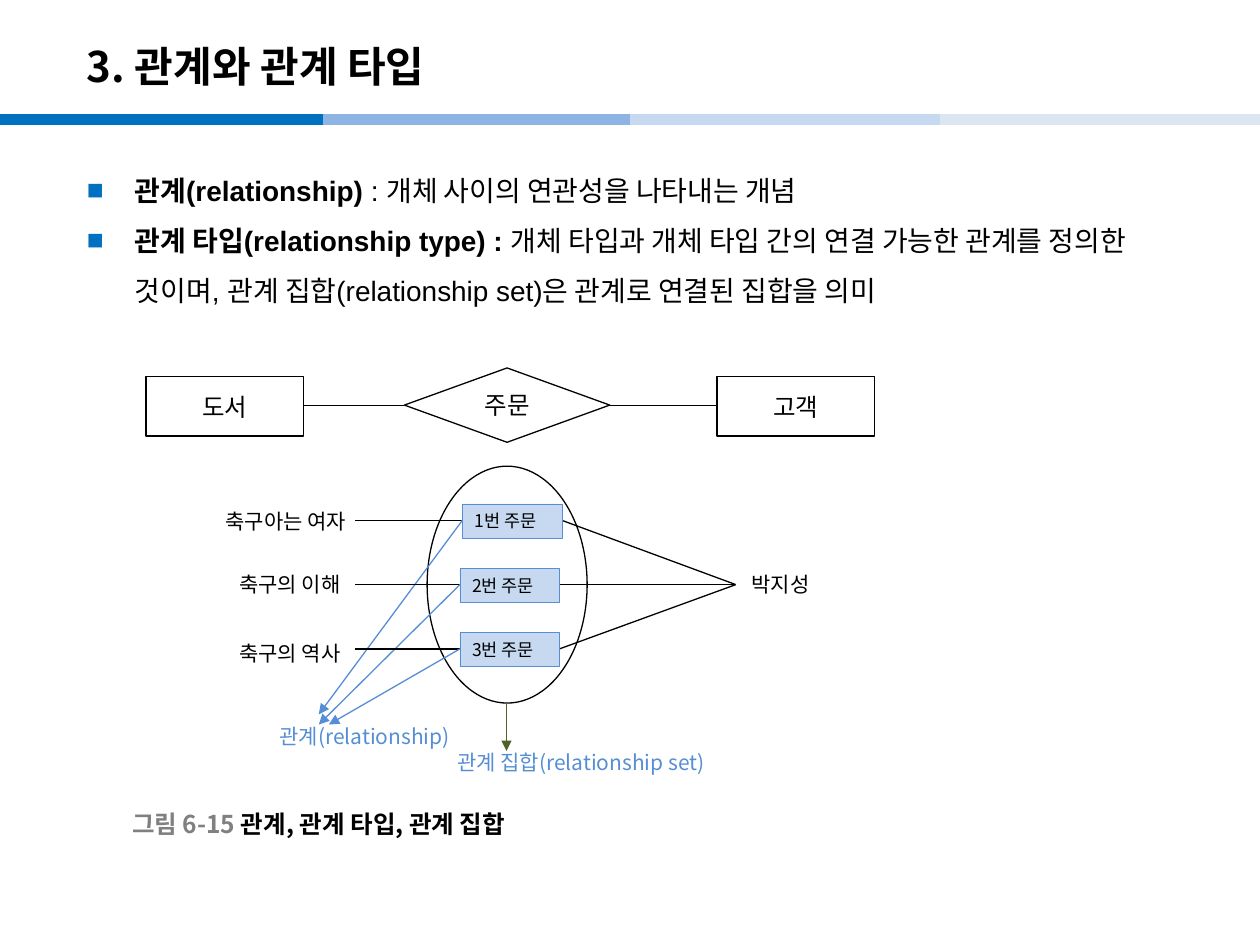
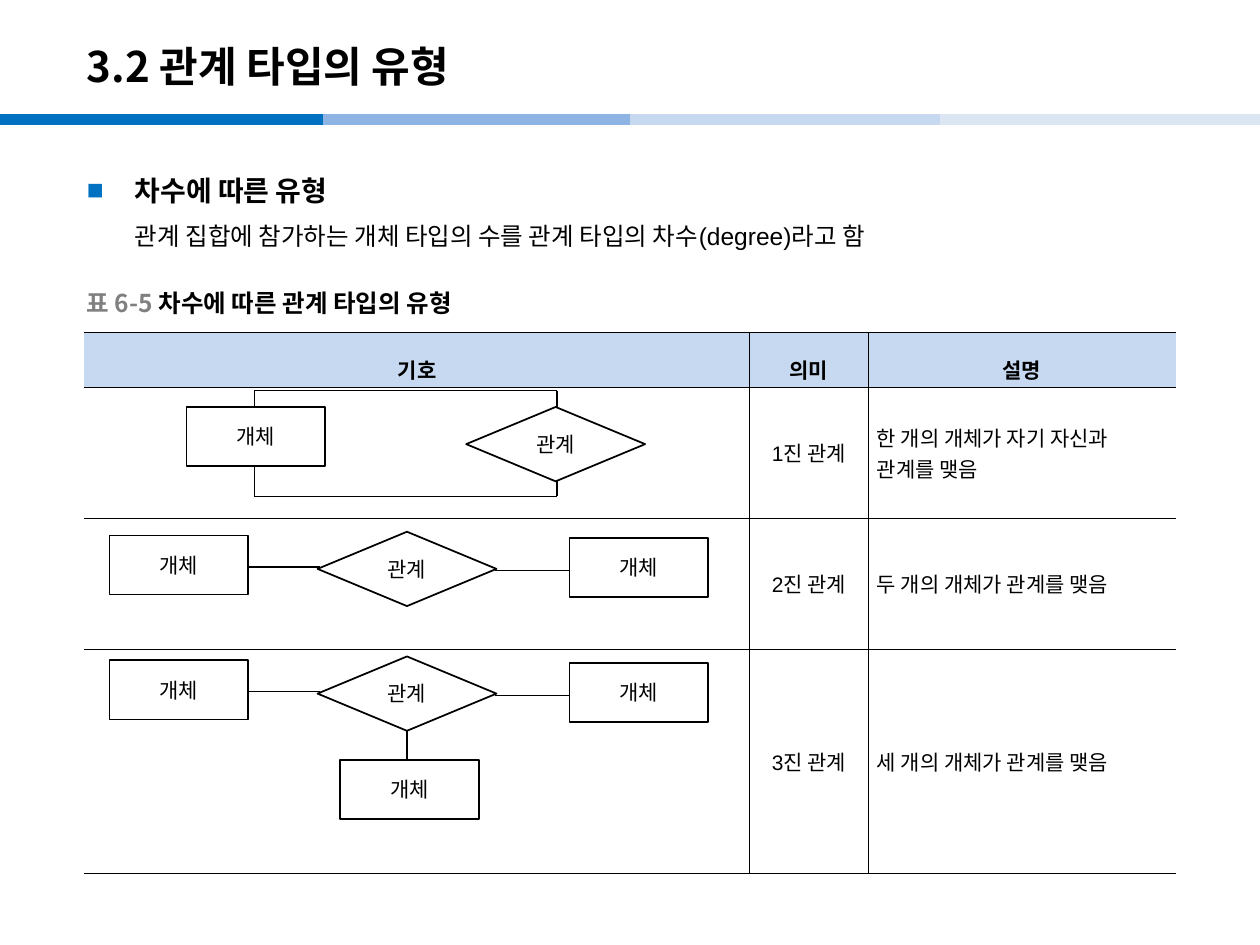
from lxml.etree import SubElement
from pptx import Presentation
from pptx.dml.color import RGBColor
from pptx.enum.shapes import MSO_CONNECTOR, MSO_SHAPE
from pptx.enum.text import MSO_ANCHOR, MSO_AUTO_SIZE, PP_ALIGN
from pptx.oxml.ns import qn
from pptx.util import Inches, Pt

BLACK = RGBColor(0x00, 0x00, 0x00)
WHITE = RGBColor(0xFF, 0xFF, 0xFF)
GRAY = RGBColor(0x80, 0x80, 0x80)
GREEN = RGBColor(0x4F, 0x62, 0x28)
BLUE = RGBColor(0x00, 0x70, 0xC0)
LINK_BLUE = RGBColor(0x55, 0x8E, 0xD5)
PALE_BLUE = RGBColor(0xC6, 0xD9, 0xF1)
BAND_COLORS = (BLUE, RGBColor(0x8E, 0xB4, 0xE3), PALE_BLUE, RGBColor(0xDC, 0xE6, 0xF2))
BAND_STARTS = (0, 2.56, 5, 7.46)

LATIN = "Arial"
KOREAN = "Noto Sans CJK KR"

ENTITY = (1.1, 0.47)
RELATION = (1.42, 0.59)


# Shared helpers
def apply(target, values):
    for name, value in values.items():
        setattr(target, name, value)


def add_run(paragraph, text, size, color=BLACK, bold=False, font=KOREAN):
    run = paragraph.add_run()
    run.text = text
    apply(run.font, {"size": Pt(size), "bold": bold, "name": font})
    run.font.color.rgb = color
    SubElement(run.font._element, qn("a:ea"), typeface=KOREAN)


def set_frame(shape, left, top, width, height):
    apply(shape, {"left": Inches(left), "top": Inches(top),
                  "width": Inches(width), "height": Inches(height)})


def node(slide, box, kind, left, top, width, height, text="", size=12, color=BLACK,
         fill=WHITE, line=BLACK, weight=0.75, align=PP_ALIGN.CENTER):
    """Add an outlined or plain shape, placed relative to its box."""
    shape = slide.shapes.add_shape(kind, Inches(box[0] + left), Inches(box[1] + top),
                                   Inches(width), Inches(height))
    shape.shadow.inherit = False
    if fill is None:
        shape.fill.background()
    else:
        shape.fill.solid()
        shape.fill.fore_color.rgb = fill
    if line is None:
        shape.line.fill.background()
    else:
        shape.line.color.rgb = line
        shape.line.width = Pt(weight)
    if text:
        apply(shape.text_frame, {"word_wrap": False, "vertical_anchor": MSO_ANCHOR.MIDDLE})
        paragraph = shape.text_frame.paragraphs[0]
        paragraph.alignment = align
        add_run(paragraph, text, size, color)


def link(slide, box, start, end, color=BLACK, weight=0.75, arrow=False):
    """Add a straight line, placed relative to its box."""
    points = [Inches(origin + offset) for point in (start, end)
              for origin, offset in zip(box, point)]
    connector = slide.shapes.add_connector(MSO_CONNECTOR.STRAIGHT, *points)
    connector.line.color.rgb = color
    connector.line.width = Pt(weight)
    if arrow:
        SubElement(connector.line._get_or_add_ln(), qn("a:tailEnd"), type="triangle")
    SubElement(connector._element.spPr, qn("a:effectLst"))


def add_base_slide(prs, title_text):
    """Add a slide with the colour band and the title."""
    slide = prs.slides.add_slide(prs.slide_layouts[1])
    for start, color in zip(BAND_STARTS, BAND_COLORS):
        link(slide, (start, 0.95), (0, 0), (2.56, 0), color, 6)
    title = slide.shapes.title
    set_frame(title, 0.59, 0.22, 8.27, 0.6)
    apply(title.text_frame, {"vertical_anchor": MSO_ANCHOR.MIDDLE,
                             "auto_size": MSO_AUTO_SIZE.NONE})
    paragraph = title.text_frame.paragraphs[0]
    paragraph.alignment = PP_ALIGN.LEFT
    add_run(paragraph, title_text, 24, bold=True)
    return slide


def fill_body(slide, items):
    """Each item is (has bullet, size, [(text, bold), ...])."""
    body = slide.placeholders[1]
    set_frame(body, 0.59, 1.19, 8.82, 5.98)
    frame = body.text_frame
    frame.auto_size = MSO_AUTO_SIZE.NONE
    for index, (bulleted, size, runs) in enumerate(items):
        paragraph = frame.add_paragraph() if index else frame.paragraphs[0]
        properties = paragraph._p.get_or_add_pPr()
        properties.set("marL", str(Inches(0.38)))
        properties.set("indent", str(-Inches(0.38) if bulleted else 0))
        if bulleted:
            bullet_color = SubElement(properties, qn("a:buClr"))
            SubElement(bullet_color, qn("a:srgbClr"), val=str(BLUE))
            SubElement(properties, qn("a:buFont"), typeface=LATIN)
            SubElement(properties, qn("a:buChar"), char="■")
        else:
            SubElement(properties, qn("a:buNone"))
        apply(paragraph, {"line_spacing": 1.5, "space_before": Pt(0),
                          "alignment": PP_ALIGN.LEFT})
        for text, bold in runs:
            add_run(paragraph, text, size, bold=bold, font=LATIN)


def add_caption(slide, left, top, number, text):
    caption = slide.shapes.add_textbox(Inches(left), Inches(top), Inches(5), Inches(0.31))
    apply(caption.text_frame, {"word_wrap": True, "vertical_anchor": MSO_ANCHOR.MIDDLE})
    paragraph = caption.text_frame.paragraphs[0]
    add_run(paragraph, number, 14, GRAY, True)
    add_run(paragraph, text, 14, bold=True)


# Slide 1: relationship, relationship type and relationship set
def add_type_diagram(slide, box):
    for left, name in ((0, "도서"), (4.53, "고객")):
        node(slide, box, MSO_SHAPE.RECTANGLE, left, 0.07, 1.25, 0.47, name, 14)
    node(slide, box, MSO_SHAPE.DIAMOND, 2.05, 0, 1.63, 0.59, "주문", 14)
    for start, end in ((1.25, 2.05), (3.68, 4.53)):
        link(slide, box, (start, 0.3), (end, 0.3))


def add_set_diagram(slide, box):
    customer = (4.24, 0.94)
    # book name, its left and top, order left, arrow tip
    orders = (
        ("축구아는 여자", 0, 0.29, 2.07, (0.93, 1.97)),
        ("축구의 이해", 0.06, 0.79, 2.05, (0.93, 2.05)),
        ("축구의 역사", 0.06, 1.33, 2.05, (1.01, 2.05)),
    )
    for book, left, top, _, _ in orders:
        node(slide, box, MSO_SHAPE.RECTANGLE, left, top, 1.34 - left, 0.3, book, line=None)
    node(slide, box, MSO_SHAPE.OVAL, 1.79, 0, 1.27, 1.88)
    for index, (_, _, _, left, tip) in enumerate(orders):
        middle = 0.43 + 0.51 * index
        link(slide, box, (1.22, middle), (left, middle))
        link(slide, box, (left + 0.79, middle), customer)
        node(slide, box, MSO_SHAPE.RECTANGLE, left, middle - 0.13, 0.79, 0.27,
             f"{index + 1}번 주문", 10, fill=PALE_BLUE, line=LINK_BLUE, weight=0.25,
             align=PP_ALIGN.LEFT)
        link(slide, box, (left, middle), tip, LINK_BLUE, arrow=True)
    node(slide, box, MSO_SHAPE.RECTANGLE, 4.24, 0.79, 0.71, 0.3, "박지성", line=None)
    link(slide, box, (2.42, 1.88), (2.42, 2.26), GREEN, arrow=True)
    for left, top, width, text in ((0.52, 1.99, 1.74, "관계(relationship)"),
                                   (1.93, 2.2, 2.5, "관계 집합(relationship set)")):
        node(slide, box, MSO_SHAPE.RECTANGLE, left, top, width, 0.3, text,
             color=LINK_BLUE, fill=None, line=None, align=PP_ALIGN.LEFT)


def build_relationship_slide(prs):
    slide = add_base_slide(prs, "3. 관계와 관계 타입")
    fill_body(slide, [
        (True, 16, [("관계(relationship) ", True),
                    (": 개체 사이의 연관성을 나타내는 개념", False)]),
        (True, 16, [("관계 타입(relationship type) : ", True),
                    ("개체 타입과 개체 타입 간의 연결 가능한 관계를 정의한 것이며, "
                     "관계 집합(relationship set)은 관계로 연결된 집합을 의미", False)]),
    ])
    add_type_diagram(slide, (1.16, 2.92))
    add_set_diagram(slide, (1.6, 3.7))
    add_caption(slide, 0.95, 6.38, "그림 6-15 ", "관계, 관계 타입, 관계 집합")


# Slide 2: relationship types by degree
def set_borders(cell, sides):
    properties = cell._tc.get_or_add_tcPr()
    for side in "LRTB":
        border = SubElement(properties, qn(f"a:ln{side}"), w=str(Pt(0.28)))
        if side in sides:
            fill = SubElement(border, qn("a:solidFill"))
            SubElement(fill, qn("a:srgbClr"), val=str(BLACK))
        else:
            SubElement(border, qn("a:noFill"))


def add_degree_table(slide, left, top):
    rows = (
        ("기호", "의미", "설명"),
        ("", "1진 관계", "한 개의 개체가 자기 자신과\n관계를 맺음"),
        ("", "2진 관계", "두 개의 개체가 관계를 맺음"),
        ("", "3진 관계", "세 개의 개체가 관계를 맺음"),
    )
    widths = (5.28, 0.94, 2.44)
    heights = (0.43, 1.04, 1.04, 1.78)
    table = slide.shapes.add_table(len(rows), len(widths), Inches(left), Inches(top),
                                   Inches(sum(widths)), Inches(sum(heights))).table
    apply(table, {"first_row": False, "horz_banding": False})
    for column, width in zip(table.columns, widths):
        column.width = Inches(width)
    for row_index, (texts, height) in enumerate(zip(rows, heights)):
        table.rows[row_index].height = Inches(height)
        header = row_index == 0
        for column_index, text in enumerate(texts):
            cell = table.cell(row_index, column_index)
            apply(cell, {"vertical_anchor": MSO_ANCHOR.MIDDLE,
                         "margin_left": Inches(0.07), "margin_right": Inches(0.07),
                         "margin_top": Inches(0.02), "margin_bottom": Inches(0.02)})
            set_borders(cell, ("RTB", "LRTB", "LTB")[column_index])
            cell.fill.solid()
            cell.fill.fore_color.rgb = PALE_BLUE if header else WHITE
            if not text:
                continue
            centered = header or column_index == 1
            for index, sentence in enumerate(text.split("\n")):
                frame = cell.text_frame
                paragraph = frame.add_paragraph() if index else frame.paragraphs[0]
                apply(paragraph, {
                    "alignment": PP_ALIGN.CENTER if centered else PP_ALIGN.LEFT,
                    "line_spacing": 1.6 if header else Pt(18)})
                add_run(paragraph, sentence, 12, bold=header, font=LATIN)


def add_entity(slide, box, left, top):
    node(slide, box, MSO_SHAPE.RECTANGLE, left, top, *ENTITY, "개체", weight=1)


def add_relation(slide, box, left, top):
    node(slide, box, MSO_SHAPE.FLOWCHART_DECISION, left, top, *RELATION, "관계", weight=1)


def add_unary(slide, box):
    entity_x, relation_x = 0.54, 2.94
    for loop_y, entity_y, relation_y in ((0, 0.13, 0.13), (0.84, 0.6, 0.72)):
        corners = ((entity_x, entity_y), (entity_x, loop_y),
                   (relation_x, loop_y), (relation_x, relation_y))
        for start, end in zip(corners, corners[1:]):
            link(slide, box, start, end)
    add_entity(slide, box, 0, 0.13)
    add_relation(slide, box, 2.22, 0.13)


def add_binary(slide, box):
    link(slide, box, (1.1, 0.28), (1.67, 0.28))
    link(slide, box, (3.06, 0.31), (3.65, 0.31))
    add_entity(slide, box, 0, 0.03)
    add_entity(slide, box, 3.65, 0.05)
    add_relation(slide, box, 1.65, 0)


def add_ternary(slide, box):
    add_binary(slide, box)
    link(slide, box, (2.36, 0.59), (2.36, 0.82), weight=1)
    add_entity(slide, box, 1.83, 0.82)


def build_degree_slide(prs):
    slide = add_base_slide(prs, "3.2 관계 타입의 유형")
    fill_body(slide, [
        (True, 16, [("차수에 따른 유형", True)]),
        (False, 14, [("관계 집합에 참가하는 개체 타입의 수를 관계 타입의 차수(degree)라고 함", False)]),
    ])
    add_degree_table(slide, 0.67, 2.64)
    add_caption(slide, 0.59, 2.25, "표 6-5 ", "차수에 따른 관계 타입의 유형")
    add_unary(slide, (1.48, 3.1))
    add_binary(slide, (0.87, 4.22))
    add_ternary(slide, (0.87, 5.21))


def main():
    prs = Presentation()
    apply(prs, {"slide_width": Inches(10), "slide_height": Inches(7.5)})
    build_relationship_slide(prs)
    build_degree_slide(prs)
    prs.save("out.pptx")


if __name__ == "__main__":
    main()
